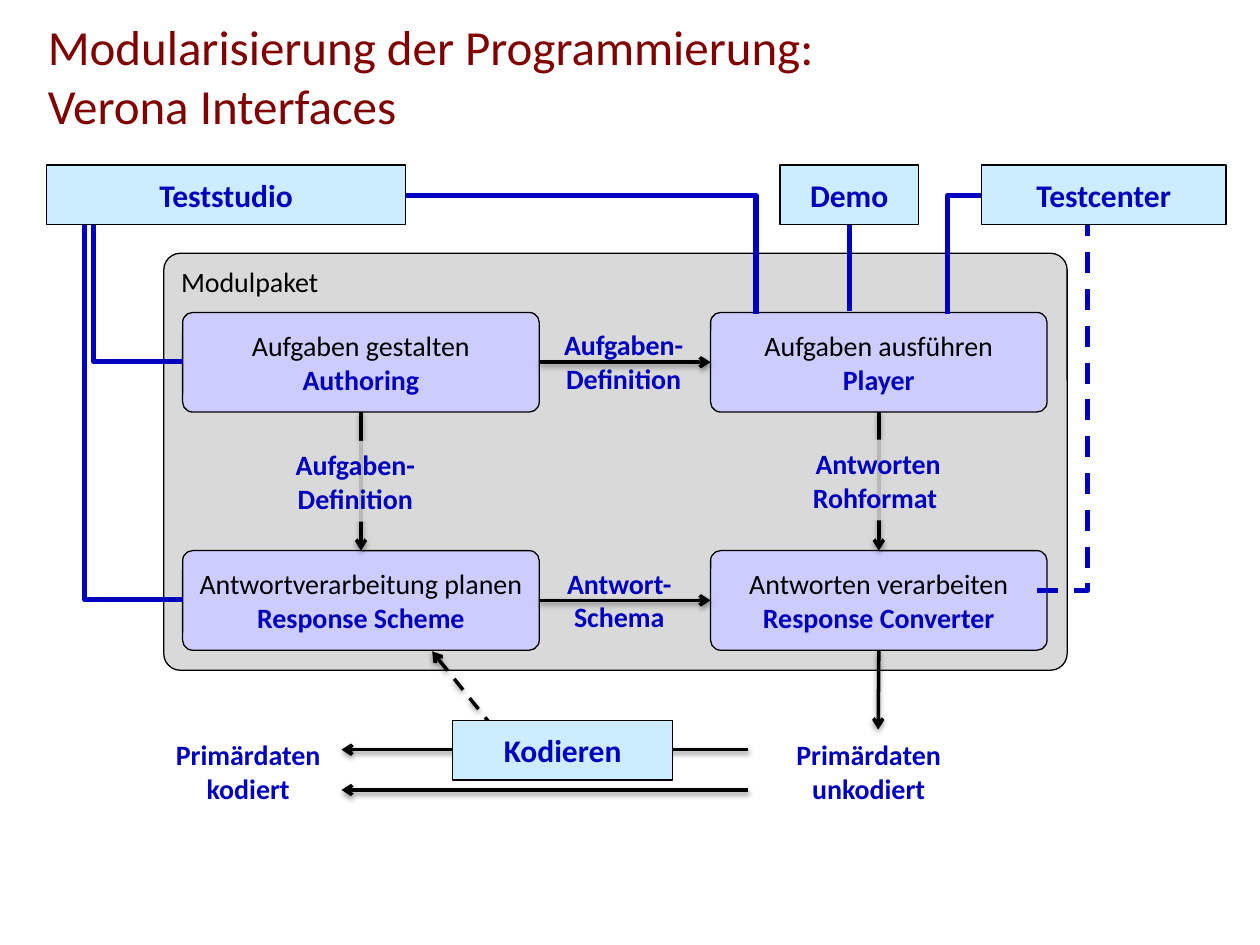
from dataclasses import dataclass

from lxml import etree
from pptx import Presentation
from pptx.dml.color import RGBColor
from pptx.enum.dml import MSO_LINE
from pptx.enum.shapes import MSO_CONNECTOR, MSO_SHAPE
from pptx.enum.text import MSO_ANCHOR, MSO_AUTO_SIZE, PP_ALIGN
from pptx.oxml.ns import qn
from pptx.util import Pt

PX = 9144  # EMU per px, 100 px to the inch
FONT = "Calibri"
BLACK = RGBColor(0x00, 0x00, 0x00)
BLUE = RGBColor(0x00, 0x00, 0xBF)
MAROON = RGBColor(0x80, 0x00, 0x00)
GREY = RGBColor(0xD9, 0xD9, 0xD9)
LAVENDER = RGBColor(0xCC, 0xCC, 0xFF)
SKY = RGBColor(0xCC, 0xEC, 0xFF)

RECTANGLE, ROUNDED = MSO_SHAPE.RECTANGLE, MSO_SHAPE.ROUNDED_RECTANGLE
STRAIGHT, ELBOW = MSO_CONNECTOR.STRAIGHT, MSO_CONNECTOR.ELBOW
LEFT, CENTER = PP_ALIGN.LEFT, PP_ALIGN.CENTER
TOP, MIDDLE = MSO_ANCHOR.TOP, MSO_ANCHOR.MIDDLE
DASH = MSO_LINE.DASH
SITE_TOP, SITE_LEFT, SITE_BOTTOM, SITE_RIGHT = range(4)


@dataclass(frozen=True)
class Line:
    text: str
    size: int = 16
    color: RGBColor = BLUE
    bold: bool = True


@dataclass(frozen=True)
class Box:
    area: tuple[int, int, int, int]
    lines: tuple[Line, ...]
    fill: RGBColor
    corner: float = 0
    align: PP_ALIGN = CENTER
    anchor: MSO_ANCHOR = MIDDLE


@dataclass(frozen=True)
class Label:
    area: tuple[int, int, int, int]
    texts: tuple[str, ...]
    veiled: bool = False


@dataclass(frozen=True)
class Join:
    box: str
    site: int


@dataclass(frozen=True)
class Link:
    """A black arrow, or a blue access line; elbows leave their start sideways."""
    start: tuple[int, int]
    end: tuple[int, int]
    arrow: bool = True
    elbow: bool = False
    dashed: bool = False
    begin_join: Join | None = None
    end_join: Join | None = None


def module(left: int, top: int, width: int, task: str, name: str) -> Box:
    lines = (Line(task, color=BLACK, bold=False), Line(name))
    return Box((left, top, width, 79), lines, LAVENDER, 0.1)


def application(left: int, top: int, width: int, name: str) -> Box:
    return Box((left, top, width, 47), (Line(name, 18),), SKY)


def access(start: tuple[int, int], end: tuple[int, int], dashed: bool = False) -> Link:
    return Link(start, end, arrow=False, elbow=True, dashed=dashed)


PACKAGE = Box((130, 201, 717, 331), (Line("Modulpaket", color=BLACK, bold=False),),
              GREY, 0.04, LEFT, TOP)
MODULES = {
    "authoring": module(145, 248, 283, "Aufgaben gestalten", "Authoring"),
    "player": module(564, 248, 267, "Aufgaben ausführen", "Player"),
    "scheme": module(145, 437, 283, "Antwortverarbeitung planen", "Response Scheme"),
    "converter": module(564, 437, 267, "Antworten verarbeiten", "Response Converter"),
}
APPLICATIONS = {
    "studio": application(37, 131, 285, "Teststudio"),
    "demo": application(619, 131, 110, "Demo"),
    "center": application(779, 131, 194, "Testcenter"),
    "coding": application(359, 572, 175, "Kodieren"),
}
LABELS = (
    Label((435, 255, 120, 64), ("Aufgaben-Definition",)),
    Label((222, 350, 120, 64), ("Aufgaben-Definition",), veiled=True),
    Label((633, 349, 128, 64), ("Antworten", "Rohformat "), veiled=True),
    Label((435, 444, 113, 64), ("Antwort-Schema",)),
    Label((603, 580, 173, 64), ("Primärdaten unkodiert",)),
    Label((126, 580, 142, 64), ("Primärdaten kodiert",)),
)
LINKS = (
    Link((428, 287), (564, 287), begin_join=Join("authoring", SITE_RIGHT),
         end_join=Join("player", SITE_LEFT)),
    Link((428, 476), (564, 476), begin_join=Join("scheme", SITE_RIGHT),
         end_join=Join("converter", SITE_LEFT)),
    Link((287, 327), (287, 437), begin_join=Join("authoring", SITE_BOTTOM),
         end_join=Join("scheme", SITE_TOP)),
    Link((697, 327), (697, 437), begin_join=Join("player", SITE_BOTTOM),
         end_join=Join("converter", SITE_TOP)),
    Link((697, 516), (697, 579), begin_join=Join("converter", SITE_BOTTOM)),
    Link((392, 578), (343, 517), dashed=True),
    Link((594, 595), (271, 595)),
    Link((594, 627), (271, 627)),
    Link((674, 178), (674, 247), arrow=False, begin_join=Join("demo", SITE_BOTTOM)),
    access((145, 476), (67, 178)),
    access((145, 287), (74, 178)),
    access((322, 155), (600, 249)),
    access((779, 155), (752, 249)),
    access((823, 469), (863, 178), dashed=True),
)


def scaled(lengths: tuple[int, ...]) -> list[int]:
    return [length * PX for length in lengths]


def apply_format(target, values: dict) -> None:
    for name, value in values.items():
        setattr(target, name, value)


def write_lines(frame, lines: tuple[Line, ...], align=CENTER, anchor=MIDDLE) -> None:
    apply_format(frame, {"word_wrap": True, "vertical_anchor": anchor,
                         "auto_size": MSO_AUTO_SIZE.NONE})
    for index, line in enumerate(lines):
        para = frame.add_paragraph() if index else frame.paragraphs[0]
        para.alignment = align
        span = para.add_run()
        span.text = line.text
        apply_format(span.font, {"name": FONT, "size": Pt(line.size), "bold": line.bold})
        span.font.color.rgb = line.color


def draw_box(page, box: Box):
    shape = page.shapes.add_shape(ROUNDED if box.corner else RECTANGLE, *scaled(box.area))
    if box.corner:
        shape.adjustments[0] = box.corner
    shape.shadow.inherit = False
    shape.fill.solid()
    shape.fill.fore_color.rgb = box.fill
    shape.line.color.rgb = BLACK
    shape.line.width = Pt(0.75)
    write_lines(shape.text_frame, box.lines, box.align, box.anchor)
    return shape


def draw_label(page, label: Label) -> None:
    shape = page.shapes.add_textbox(*scaled(label.area))
    if label.veiled:
        shape.fill.solid()
        shape.fill.fore_color.rgb = GREY
        color = shape.fill._xPr.find(".//" + qn("a:srgbClr"))
        etree.SubElement(color, qn("a:alpha"), val="85000")
    write_lines(shape.text_frame, tuple(Line(text) for text in label.texts))


def draw_link(page, link: Link):
    connector = page.shapes.add_connector(
        ELBOW if link.elbow else STRAIGHT, *scaled(link.start + link.end))
    connector.line.color.rgb = BLACK if link.arrow else BLUE
    connector.line.width = Pt(2 if link.arrow else 3)
    if link.dashed:
        connector.line.dash_style = DASH
    properties = connector._element.spPr
    if link.elbow:
        properties.find(qn("a:prstGeom")).set("prst", "bentConnector2")
    effects = etree.SubElement(properties, qn("a:effectLst"))
    if link.arrow:
        etree.SubElement(connector.line._ln, qn("a:tailEnd"), type="arrow")
        shadow = etree.SubElement(effects, qn("a:outerShdw"), blurRad=str(Pt(3.1)),
                                  dist=str(Pt(1.6)), dir="5400000", rotWithShape="0")
        color = etree.SubElement(shadow, qn("a:srgbClr"), val=str(BLACK))
        etree.SubElement(color, qn("a:alpha"), val="38000")
    return connector


def main() -> None:
    deck = Presentation()
    deck.slide_width, deck.slide_height = scaled((1000, 750))
    page = deck.slides.add_slide(deck.slide_layouts.get_by_name("Title Only"))
    title = page.shapes.title
    apply_format(title, dict(zip(("left", "top", "width", "height"),
                                 scaled((28, 5, 780, 110)))))
    heading = ("Modularisierung der Programmierung:", "Verona Interfaces")
    write_lines(title.text_frame,
                tuple(Line(text, 28, MAROON, False) for text in heading), LEFT)
    for para in title.text_frame.paragraphs:
        para.space_before = Pt(0)

    draw_box(page, PACKAGE)
    shapes = {name: draw_box(page, box) for name, box in MODULES.items()}
    connectors = [draw_link(page, link) for link in LINKS]
    for label in LABELS:
        draw_label(page, label)
    shapes.update({name: draw_box(page, box) for name, box in APPLICATIONS.items()})
    for link, connector in zip(LINKS, connectors):
        if link.begin_join:
            connector.begin_connect(shapes[link.begin_join.box], link.begin_join.site)
        if link.end_join:
            connector.end_connect(shapes[link.end_join.box], link.end_join.site)
    deck.save("out.pptx")


if __name__ == "__main__":
    main()
